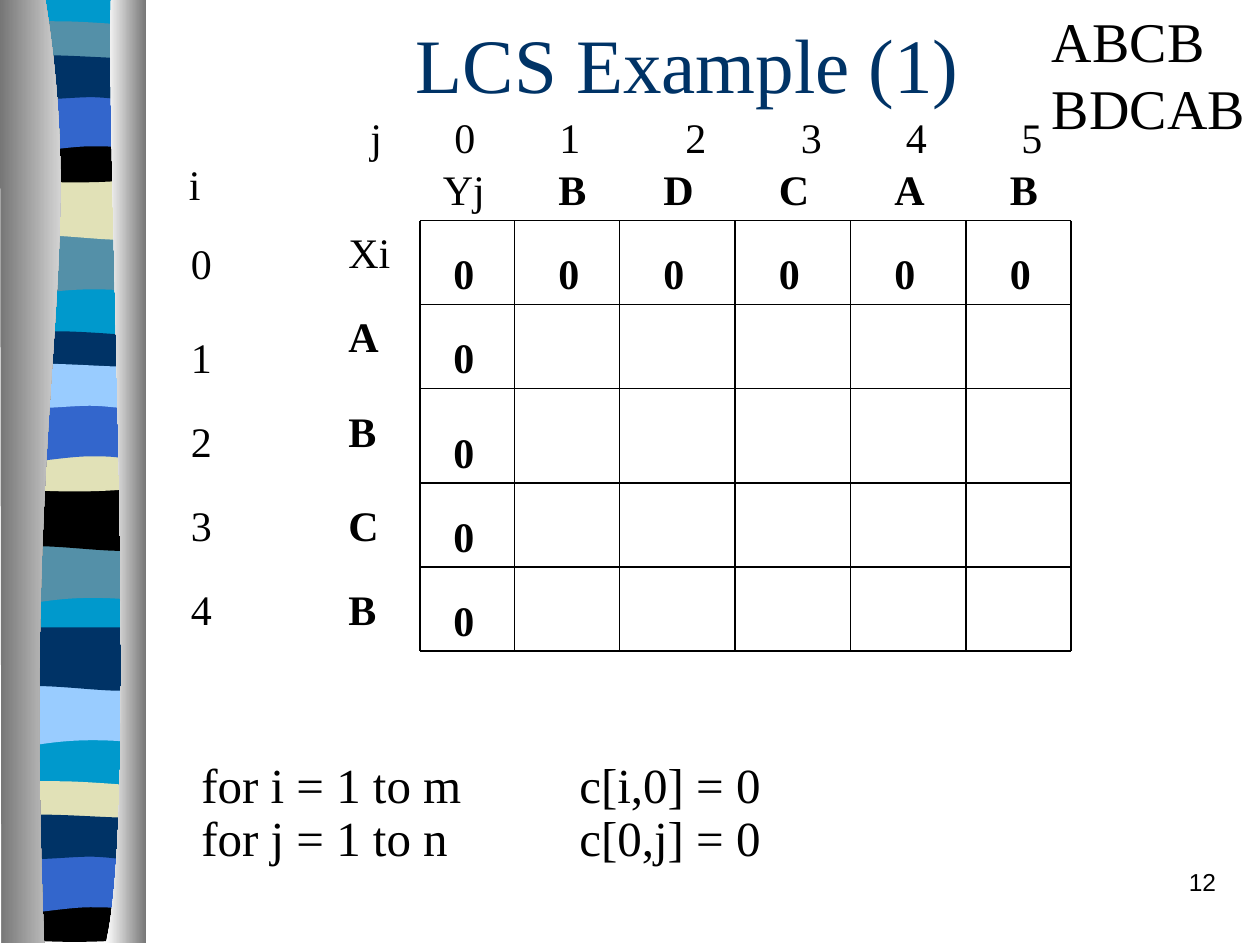
"""Build the first step of the LCS example slide."""
from lxml import etree
from pptx import Presentation
from pptx import util as u
from pptx.dml.color import RGBColor
from pptx.enum import shapes, text
from pptx.oxml.ns import qn

COLORS = {
    "black": "000000", "navy": "003366", "blue": "3366CC", "cyan": "0099CC",
    "teal": "5490A8", "sky": "99CCFF", "sand": "E1E1B7",
    "dark": "767676", "white": "FFFFFF",
}
UNIT = 2.54 / 12
BAND_LEFTS, BAND_WIDTH = (0.15, 0.13, 0.13), 2.74

# Two numbers make a line, six make a curve.
BANDS = [
    ([(2.74, 1.19), (0.84, 0.99, 0.46, 1.4, 0, 1.19), (0, 0)],
     [(4.7, "teal"), (10.92, "teal"), (13.79, "sky")]),
    ([(2.74, 1.22), (2.29, 1.4, 0.84, 1.07, 0, 1.22), (0, 0)],
     [(3.56, "sand"), (9.83, "black"), (12.65, "navy")]),
    ([(2.74, 0.61), (2.29, 0.71, 0.46, 0.71, 0, 0.61), (0, 0),
      (0.18, -0.13, 0.61, -0.1, 1.07, -0.1), (1.52, -0.1, 2.39, -0.03, 2.74, 0)],
     [(0.53, "teal"), (6.78, "navy"), (15.85, "sand")]),
    ([(2.74, 0.84), (2.29, 0.97, 0.46, 0.97, 0, 0.84), (0, 0),
      (1.68, 0.13, 2.16, 0, 2.74, 0)],
     [(2.74, "black"), (8.97, "sand"), (18.05, "black")]),
    ([(2.74, 1.22), (2.31, 1.07, 2.13, 1.07, 1.68, 1.07),
      (1.22, 1.07, 0.43, 1.22, 0, 1.22), (0, 0)],
     [(1.88, "blue"), (8.13, "blue"), (17.22, "blue")]),
    ([(2.74, 0.79), (2.57, 0.91, 2.13, 0.79, 1.68, 0.79),
      (1.22, 0.79, 0.28, 0.91, 0, 0.79), (0, 0), (0.38, -0.13, 1.85, 0, 2.31, 0)],
     [(1.17, "navy"), (7.39, "sky"), (16.48, "navy")]),
]


def grid(n):
    """Return a length of n twelfths of an inch."""
    return u.Cm(round(n * UNIT, 5))


def bend(sp, segments):
    """Turn the three lines drawn for each curve into one Bézier curve."""
    lines = iter(sp._element.findall(".//" + qn("a:lnTo")))
    for seg in segments:
        first = next(lines)
        if len(seg) == 6:
            first.tag = qn("a:cubicBezTo")
            for _ in range(2):
                extra = next(lines)
                first.append(extra[0])
                extra.getparent().remove(extra)


class Deck:
    """Hold the style and the current slide."""

    def __init__(self, prs, font="Times New Roman", size=24):
        self.font, self.size = font, size
        self.s = prs.slides.add_slide(prs.slide_layouts[6])

    def color(self, name):
        return RGBColor.from_string(COLORS[name])

    def outline(self, start, segments, fills, left=0, top=0):
        pairs = [start] + [seg[n:n + 2] for seg in segments for n in range(0, len(seg), 2)]
        points = [(u.Cm(left + x), u.Cm(top + y)) for x, y in pairs]
        builder = self.s.shapes.build_freeform(*points[0])
        builder.add_line_segments(points[1:], close=True)
        sp = builder.convert_to_shape()
        bend(sp, segments)
        sp.shadow.inherit = False
        sp.line.fill.background()
        if len(fills) == 1:
            sp.fill.solid()
            sp.fill.fore_color.rgb = self.color(fills[0])
        else:
            sp.fill.gradient()
            sp.fill.gradient_angle = 0
            for stop, name in zip(sp.fill.gradient_stops, fills):
                stop.color.rgb = self.color(name)

    def line(self, x1, y1, x2, y2):
        sp = self.s.shapes.add_connector(
            shapes.MSO_CONNECTOR.STRAIGHT, *map(grid, (x1, y1, x2, y2)))
        sp.line.width = u.Pt(0.75)
        sp.line.color.rgb = self.color("black")
        etree.SubElement(sp._element.spPr, qn("a:effectLst"))

    def text(self, x, y, *lines, w=7, h=6, size=None, bold=False, font=None,
             color="black", align=text.PP_ALIGN.LEFT, spacing=None, tabs=(),
             anchor=text.MSO_ANCHOR.TOP):
        tf = self.s.shapes.add_textbox(*map(grid, (x, y, w, h))).text_frame
        tf.word_wrap = True
        tf.vertical_anchor = anchor
        tf.text = "\n".join(lines)
        for p in tf.paragraphs:
            p.alignment, p.line_spacing = align, spacing
            p.font.name, p.font.size = font or self.font, u.Pt(size or self.size)
            p.font.bold, p.font.color.rgb = bold, self.color(color)
            if tabs:
                stops = etree.Element(qn("a:tabLst"))
                for stop in tabs:
                    etree.SubElement(stops, qn("a:tab"), pos=str(grid(stop)), algn="l")
                pPr = p._p.get_or_add_pPr()
                pPr.insert_element_before(stops, "a:defRPr", "a:extLst")


def sidebar(deck):
    """Draw the striped column and its two shaded rails."""
    deck.outline((0, 0), [(BAND_WIDTH, 0), (BAND_WIDTH, 18.97), (0, 18.97)],
                 ["cyan"], BAND_LEFTS[0])
    for group, left in enumerate(BAND_LEFTS):
        for segments, places in BANDS:
            top, name = places[group]
            deck.outline((BAND_WIDTH, 0), segments, [name], left, top)
    deck.outline((0.91, -0.03),
                 [(1.8, 5.49, 0.43, 7.52, 0.89, 19.02), (0.03, 19.02), (0, -0.03)],
                 ["dark", "white"])
    deck.outline((2.24, -0.03), [(2.13, 3.18, 2.82, 16.41, 2.13, 19.02),
                                 (2.95, 19.02), (2.95, 0)], ["white", "dark"])


def matrix(deck):
    """Draw the grid with its indices, letters and first zeros."""
    xs, ys = (40, 49, 59, 70, 81, 92, 102), (21, 29, 37, 46, 54, 62)
    for x in xs:
        deck.line(x, ys[0], x, ys[-1])
    for y in ys:
        deck.line(xs[0], y, xs[-1], y)

    deck.text(34.1, 10, "j\t0\t1\t2\t3\t4\t5", w=70, tabs=(8, 18, 30, 41, 51, 62))
    deck.text(16.8, 14.5, "i")
    for i, y in enumerate((22, 31, 39, 47, 55)):
        deck.text(17, y, str(i))

    deck.text(32, 21, "Xi")
    for y, letter in zip((29, 38, 47, 55), "ABCB"):
        deck.text(32, y, letter, bold=True)

    deck.text(41, 15, "Yj")
    columns = (52, 62, 73, 84, 95)
    for x, letter in zip(columns, "BDCAB"):
        deck.text(x, 15, letter, bold=True)
        deck.text(x, 23, "0", bold=True)
    for y in (23, 31, 40, 48, 56):
        deck.text(42, y, "0", bold=True)


def main():
    """Assemble and save the slide."""
    prs = Presentation()
    prs.slide_width, prs.slide_height = u.Cm(25.4), u.Cm(19.05)
    deck = Deck(prs)
    sidebar(deck)
    deck.text(92, 82, "12", w=25, size=14, font="Arial", align=text.PP_ALIGN.RIGHT)
    deck.text(11, 0, "LCS Example (1)", w=109, h=12, size=44, color="navy",
              align=text.PP_ALIGN.CENTER, anchor=text.MSO_ANCHOR.MIDDLE)
    matrix(deck)
    deck.text(18, 71.9, "for i = 1 to m\tc[i,0] = 0", "for j = 1 to n\tc[0,j] = 0",
              w=62, h=11, size=28, spacing=0.9, tabs=(36,))
    deck.text(99, 0, "ABCB", "BDCAB", w=21, h=14, size=32)
    prs.save("out.pptx")


if __name__ == "__main__":
    main()
